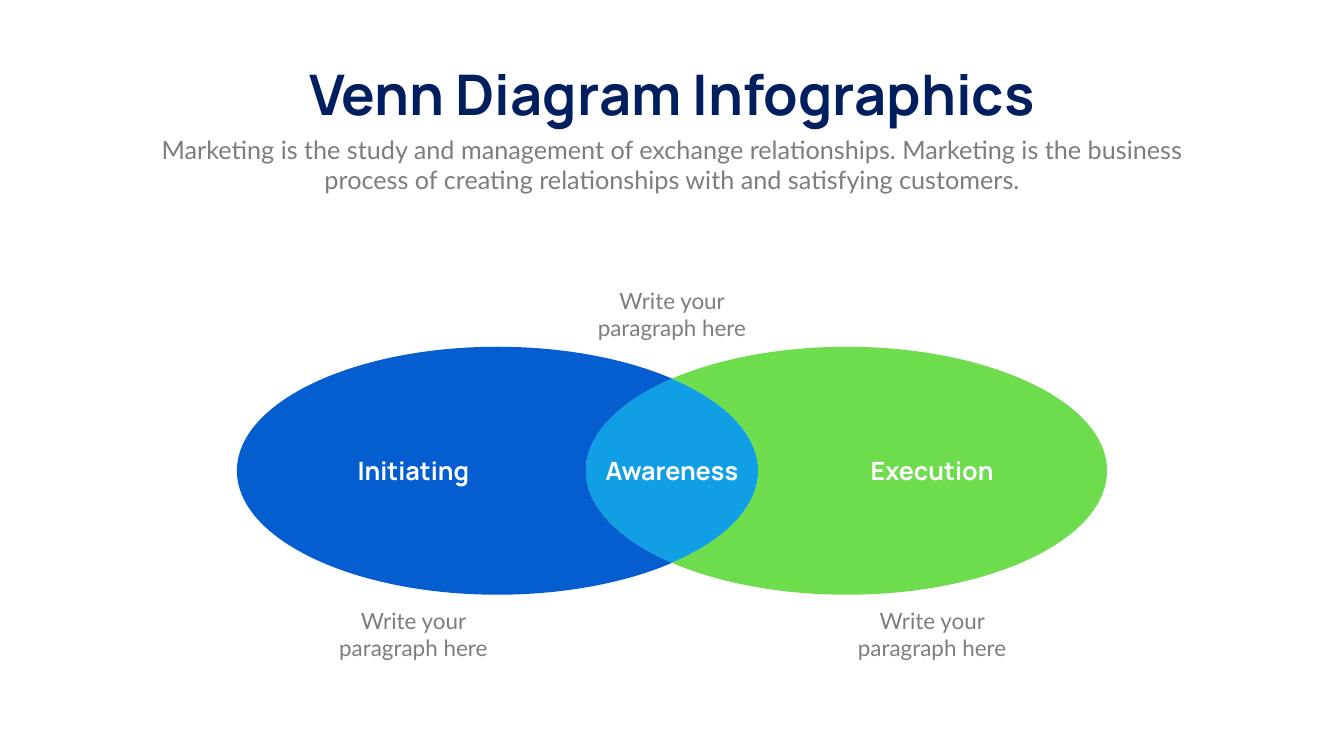
from itertools import pairwise
from math import acos, cos, pi, sin, tan

from lxml.etree import SubElement
from pptx import Presentation
from pptx.dml.color import RGBColor
from pptx.enum.text import MSO_AUTO_SIZE, PP_ALIGN
from pptx.oxml.ns import qn
from pptx.util import Pt

PX = 9144
NAVY = RGBColor(0x01, 0x1F, 0x5E)
GRAY = RGBColor(0x7E, 0x7C, 0x7F)
WHITE = RGBColor(0xFF, 0xFF, 0xFF)
BLUE = RGBColor(0x04, 0x5E, 0xD0)
SKY = RGBColor(0x10, 0x9F, 0xE4)
GREEN = RGBColor(0x6E, 0xDD, 0x4D)

MIDDLE_X, MIDDLE_Y = 1333, 934
RADIUS_X, RADIUS_Y = 517, 246
OFFSET = 346


class VennSlide:
    heading_font = "Manrope"
    body_font = "Lato"

    def __init__(self, slide):
        self.slide = slide
        self.venn = slide.shapes.add_group_shape()

    def text(self, words, center, top, width, height, size, color, heading=False):
        box = self.slide.shapes.add_textbox(
            (center - width // 2) * PX, top * PX, width * PX, height * PX
        )
        frame = box.text_frame
        frame.word_wrap = True
        frame.auto_size = MSO_AUTO_SIZE.SHAPE_TO_FIT_TEXT
        paragraph = frame.paragraphs[0]
        paragraph.text = words
        paragraph.alignment = PP_ALIGN.CENTER
        paragraph.font.name = self.heading_font if heading else self.body_font
        paragraph.font.size = Pt(size)
        paragraph.font.bold = heading
        paragraph.font.color.rgb = color

    def region(self, first_arc, second_arc, color):
        outline = first_arc + second_arc[1:]
        builder = self.venn.shapes.build_freeform(*outline[0], scale=1.0)
        builder.add_line_segments(outline[1:-1] + outline[:1], close=False)
        shape = builder.convert_to_shape()
        shape.shadow.inherit = False
        shape.fill.solid()
        shape.fill.fore_color.rgb = color
        shape.line.fill.background()
        contour = shape.element.find(".//" + qn("a:path"))
        segments = contour.findall(qn("a:lnTo"))
        for start in range(0, len(segments), 3):
            curve = SubElement(contour, qn("a:cubicBezTo"))
            for segment in segments[start:start + 3]:
                curve.append(segment[0])
                contour.remove(segment)
        SubElement(contour, qn("a:close"))


def arc(center, *angles):
    def point(angle, pull=0):
        x = center + RADIUS_X * (cos(angle) - pull * sin(angle))
        y = MIDDLE_Y + RADIUS_Y * (sin(angle) + pull * cos(angle))
        return round(x * PX), round(y * PX)

    points = [point(angles[0])]
    for start, end in pairwise(angles):
        pull = 4 / 3 * tan((end - start) / 4)
        points += [point(start, pull), point(end, -pull), point(end)]
    return points


def main():
    presentation = Presentation()
    presentation.slide_width = 2666 * PX
    presentation.slide_height = 1500 * PX
    page = VennSlide(presentation.slides.add_slide(presentation.slide_layouts[6]))

    page.text("Venn Diagram Infographics", MIDDLE_X, 114, 1998, 145, 80, NAVY, True)
    page.text(
        "Marketing is the study and management of exchange relationships. "
        "Marketing is the business process of creating relationships with "
        "and satisfying customers.",
        MIDDLE_X, 261, 2082, 131, 36, GRAY,
    )

    crossing = acos(OFFSET / RADIUS_X)
    left, right = MIDDLE_X - OFFSET, MIDDLE_X + OFFSET
    left_inner = arc(left, -crossing, 0, crossing)
    right_inner = arc(right, pi - crossing, pi, pi + crossing)
    left_outer = arc(left, crossing, pi / 2, pi, 3 * pi / 2, 2 * pi - crossing)
    right_outer = arc(right, pi + crossing, 3 * pi / 2, 2 * pi, 5 * pi / 2, 3 * pi - crossing)
    page.region(left_inner, right_inner, SKY)
    page.region(left_outer, right_inner[::-1], BLUE)
    page.region(right_outer, left_inner[::-1], GREEN)

    columns = [
        ("Initiating", 820, 1199),
        ("Awareness", MIDDLE_X, 565),
        ("Execution", 1849, 1199),
    ]
    for label, center, _ in columns:
        page.text(label, center, 899, 326, 71, 36, WHITE, True)
    for _, center, note_top in columns:
        page.text("Write your paragraph here", center, note_top, 366, 118, 32, GRAY)

    presentation.save("out.pptx")


if __name__ == "__main__":
    main()
